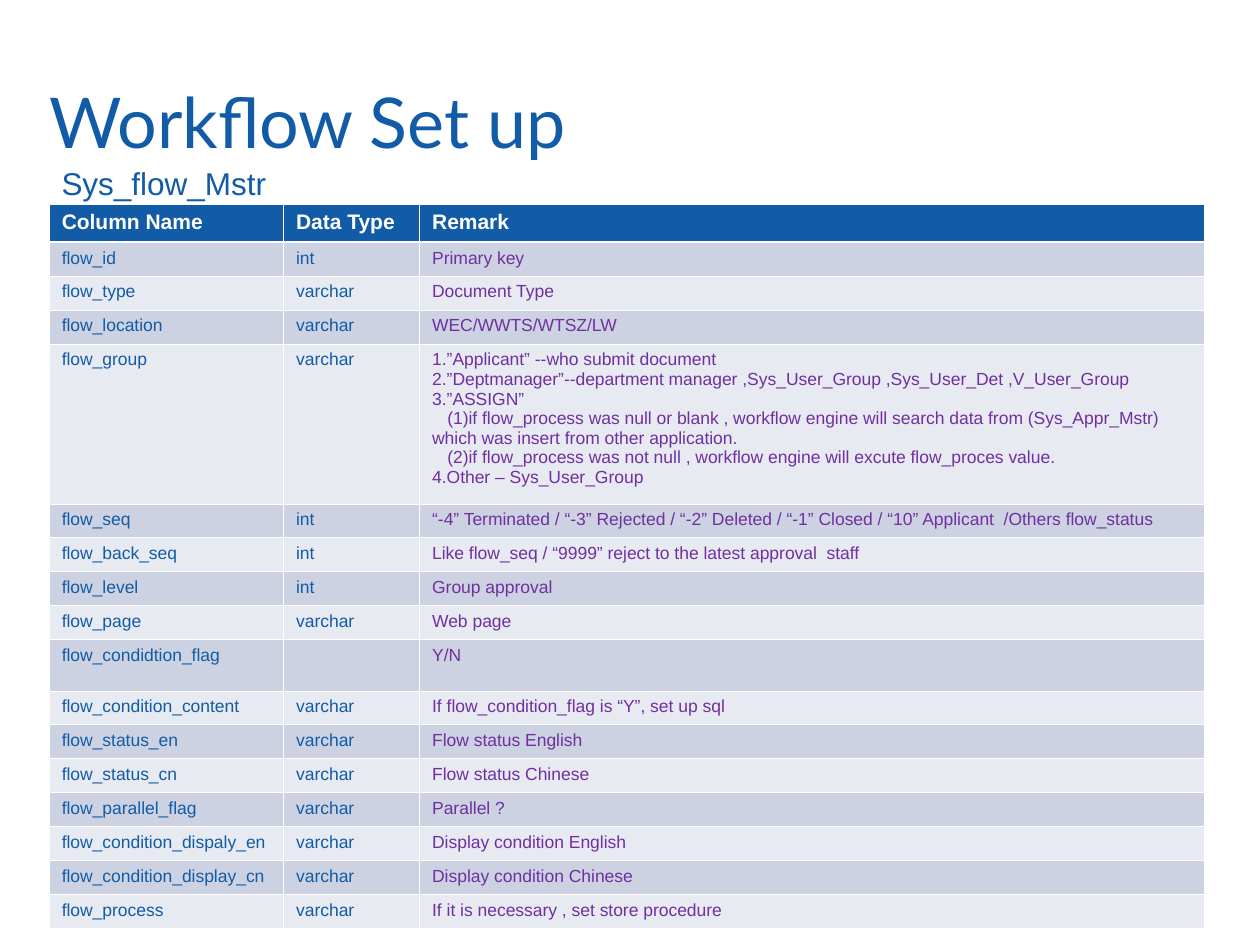
from dataclasses import dataclass

from lxml.etree import SubElement
from pptx import Presentation
from pptx.dml.color import RGBColor
from pptx.enum.text import MSO_ANCHOR, PP_ALIGN
from pptx.oxml.ns import qn
from pptx.util import Inches, Pt


@dataclass(frozen=True)
class Theme:
    blue: str = "125CA7"
    purple: str = "7030A0"
    white: str = "FFFFFF"
    dark_band: str = "CCD2E1"
    light_band: str = "E7EAF1"
    title_font: str = "Lato"
    body_font: str = "Arial"
    title_size: int = 40
    subtitle_size: int = 18
    header_size: int = 12
    cell_size: int = 10
    thin_line: float = 0.45
    thick_line: float = 1.47


HEADERS = ("Column Name", "Data Type", "Remark")
COLUMN_WIDTHS = (1.86, 1.08, 6.23)
HEADER_HEIGHT = 0.3
ROW_HEIGHT = 0.27
GROUP_HEIGHT = 1.27
GROUP_RULES = (
    "1.”Applicant” --who submit document",
    "2.”Deptmanager”--department manager ,Sys_User_Group ,Sys_User_Det ,V_User_Group",
    "3.”ASSIGN”",
    "(1)if flow_process was null or blank , workflow engine will search data from "
    "(Sys_Appr_Mstr) which was insert from other application.",
    "(2)if flow_process was not null , workflow engine will excute flow_proces value.",
    "4.Other – Sys_User_Group",
)
FIELDS = (
    ("flow_id", "int", "Primary key"),
    ("flow_type", "varchar", "Document Type"),
    ("flow_location", "varchar", "WEC/WWTS/WTSZ/LW"),
    ("flow_group", "varchar", "\n".join(GROUP_RULES)),
    ("flow_seq", "int", "“-4” Terminated / “-3” Rejected / “-2” Deleted / “-1” Closed / "
     "“10” Applicant  /Others flow_status"),
    ("flow_back_seq", "int", "Like flow_seq / “9999” reject to the latest approval  staff"),
    ("flow_level", "int", "Group approval"),
    ("flow_page", "varchar", "Web page"),
    ("flow_condidtion_flag", "", "Y/N"),
    ("flow_condition_content", "varchar", "If flow_condition_flag is “Y”, set up sql"),
    ("flow_status_en", "varchar", "Flow status English"),
    ("flow_status_cn", "varchar", "Flow status Chinese"),
    ("flow_parallel_flag", "varchar", "Parallel ?"),
    ("flow_condition_dispaly_en", "varchar", "Display condition English"),
    ("flow_condition_display_cn", "varchar", "Display condition Chinese"),
    ("flow_process", "varchar", "If it is necessary , set store procedure"),
)


class SlideBuilder:
    def __init__(self, slide, theme):
        self.slide = slide
        self.theme = theme

    def apply(self, target, values):
        for name, value in values.items():
            setattr(target, name, value)

    def format_text(self, frame, size, color, font=None, bold=False):
        for paragraph in frame.paragraphs:
            paragraph.alignment = PP_ALIGN.LEFT
            for run in paragraph.runs:
                self.apply(run.font, {
                    "name": font or self.theme.body_font, "size": Pt(size), "bold": bold,
                })
                run.font.color.rgb = RGBColor.from_string(color)

    def title(self, text, left, top, width, height):
        shape = self.slide.shapes.title
        self.apply(shape, {
            "left": Inches(left), "top": Inches(top),
            "width": Inches(width), "height": Inches(height),
        })
        frame = shape.text_frame
        frame.text = text
        self.apply(frame, {
            "margin_left": 0, "margin_right": 0, "margin_top": 0, "margin_bottom": 0,
            "vertical_anchor": MSO_ANCHOR.TOP, "word_wrap": True,
        })
        frame.paragraphs[0].line_spacing = 0.9
        self.format_text(frame, self.theme.title_size, self.theme.blue, self.theme.title_font)

    def subtitle(self, text, left, top, width, height):
        shape = self.slide.shapes.add_textbox(
            Inches(left), Inches(top), Inches(width), Inches(height))
        frame = shape.text_frame
        frame.word_wrap = True
        frame.text = text
        self.format_text(frame, self.theme.subtitle_size, self.theme.blue)

    def borders(self, cell, top, bottom):
        properties = cell._tc.get_or_add_tcPr()
        thin = self.theme.thin_line
        for side, width in (("L", thin), ("R", thin), ("T", top), ("B", bottom)):
            line = SubElement(properties, qn(f"a:ln{side}"), w=str(Pt(width)))
            fill = SubElement(line, qn("a:solidFill"))
            SubElement(fill, qn("a:srgbClr"), val=self.theme.white)

    def cell(self, cell, text, fill, top, bottom, **text_format):
        self.borders(cell, top, bottom)
        cell.fill.solid()
        cell.fill.fore_color.rgb = RGBColor.from_string(fill)
        self.apply(cell, {
            "margin_left": Inches(0.1), "margin_right": Inches(0.1),
            "margin_top": Inches(0.05), "margin_bottom": Inches(0.05),
        })
        if text:
            cell.text_frame.text = text
            self.format_text(cell.text_frame, **text_format)
            for paragraph in cell.text_frame.paragraphs:
                if paragraph.text.startswith("("):
                    paragraph._p.get_or_add_pPr().set("indent", str(Inches(0.12)))

    def table(self, left, top, headers, fields, widths, heights):
        theme = self.theme
        table = self.slide.shapes.add_table(
            len(heights), len(widths), Inches(left), Inches(top),
            Inches(sum(widths)), Inches(sum(heights))).table
        for column, width in zip(table.columns, widths):
            column.width = Inches(width)
        for row, height in zip(table.rows, heights):
            row.height = Inches(height)
        for column, text in enumerate(headers):
            self.cell(table.cell(0, column), text, theme.blue,
                      theme.thin_line, theme.thick_line,
                      size=theme.header_size, color=theme.white, bold=True)
        colors = (theme.blue, theme.blue, theme.purple)
        for row, field in enumerate(fields, start=1):
            fill = theme.dark_band if row % 2 else theme.light_band
            top_line = theme.thick_line if row == 1 else theme.thin_line
            for column, (text, color) in enumerate(zip(field, colors)):
                self.cell(table.cell(row, column), text, fill, top_line, theme.thin_line,
                          size=theme.cell_size, color=color)


def main():
    presentation = Presentation()
    presentation.slide_width = Inches(10)
    presentation.slide_height = Inches(7.5)
    slide = presentation.slides.add_slide(presentation.slide_layouts[5])
    builder = SlideBuilder(slide, Theme())
    heights = [HEADER_HEIGHT] + [
        GROUP_HEIGHT if name == "flow_group" else ROW_HEIGHT for name, _, _ in FIELDS]
    builder.title("Workflow Set up", 0.39, 0.7, 9.17, 0.61)
    builder.table(0.39, 1.62, HEADERS, FIELDS, COLUMN_WIDTHS, heights)
    builder.subtitle("Sys_flow_Mstr", 0.39, 1.25, 3.33, 0.4)
    presentation.save("out.pptx")


if __name__ == "__main__":
    main()
